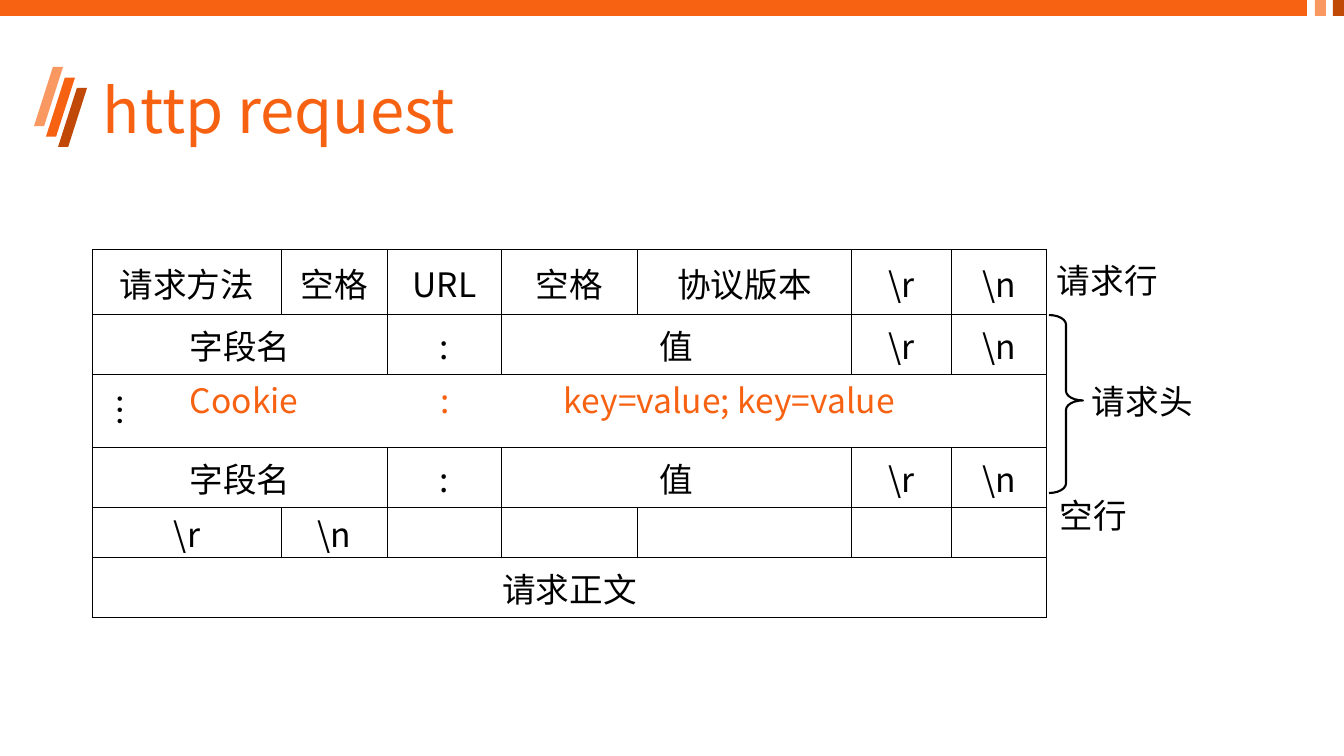
from lxml import etree
from pptx import Presentation
from pptx import util as u
from pptx.dml.color import RGBColor
from pptx.enum import shapes, text
from pptx.oxml import ns

FONT = "Noto Sans CJK SC"
ORANGE = RGBColor(0xF7, 0x62, 0x12)
LIGHT_ORANGE = RGBColor(0xFA, 0x98, 0x62)
DARK_ORANGE = RGBColor(0xC1, 0x49, 0x07)
BLACK = RGBColor(0, 0, 0)

COLUMN_WIDTHS = [189, 106, 114, 136, 214, 100, 95]
ROW_HEIGHTS = [65, 60, 73, 60, 50, 60]
REQUEST_LINE = [(1, "请求方法"), (1, "空格"), (1, "URL"), (1, "空格"),
                (1, "协议版本"), (1, "\\r"), (1, "\\n")]
HEADER_FIELD = [(2, "字段名"), (1, ":"), (2, "值"), (1, "\\r"), (1, "\\n")]
MORE_FIELDS = [(7, "")]
BLANK_LINE = [(1, "\\r"), (1, "\\n")] + [(1, "")] * 5
BODY = [(7, "请求正文")]
MESSAGE_ROWS = [REQUEST_LINE, HEADER_FIELD, MORE_FIELDS, HEADER_FIELD, BLANK_LINE, BODY]


def px(length):
    return u.Emu(round(length * 914400 / 100.8))


def write(frame, words, size=24, color=BLACK, align=None, spacing=None, tabs=()):
    paragraph = frame.paragraphs[0]
    if tabs:
        tab_list = etree.SubElement(paragraph._p.get_or_add_pPr(), ns.qn("a:tabLst"))
        for stop in tabs:
            etree.SubElement(tab_list, ns.qn("a:tab"), pos=str(px(stop)), algn="l")
    if align is not None:
        paragraph.alignment = align
    if spacing:
        paragraph.line_spacing = spacing
    run = paragraph.add_run()
    run.text = words
    run.font.name = FONT
    run.font.size = u.Pt(size)
    run.font.color.rgb = color
    etree.SubElement(run._r.get_or_add_rPr(), ns.qn("a:ea"), typeface=FONT)


def add_label(slide, box, words, wrap=False, anchor=text.MSO_ANCHOR.TOP,
              rotation=0, **style):
    label = slide.shapes.add_textbox(*map(px, box))
    label.rotation = rotation
    label.text_frame.word_wrap = wrap
    label.text_frame.vertical_anchor = anchor
    write(label.text_frame, words, **style)


def add_figure(slide, kind, box, fill=None, line=None, adjust=()):
    figure = slide.shapes.add_shape(kind, *map(px, box))
    figure.shadow.inherit = False
    for index, value in enumerate(adjust):
        figure.adjustments[index] = value
    if fill is None:
        figure.fill.background()
    else:
        figure.fill.solid()
        figure.fill.fore_color.rgb = fill
    if line is None:
        figure.line.fill.background()
    else:
        figure.line.color.rgb = line
        figure.line.width = u.Pt(1.5)


def style_cell(cell):
    properties = cell._tc.get_or_add_tcPr()
    for side in ("lnL", "lnR", "lnT", "lnB"):
        border = etree.SubElement(properties, ns.qn(f"a:{side}"), w=str(u.Pt(1)))
        paint = etree.SubElement(border, ns.qn("a:solidFill"))
        etree.SubElement(paint, ns.qn("a:srgbClr"), val=str(BLACK))
    cell.fill.background()
    cell.vertical_anchor = text.MSO_ANCHOR.MIDDLE
    cell.margin_left = cell.margin_right = cell.margin_top = px(1)
    cell.margin_bottom = 0


def add_message_table(slide):
    box = (92.5, 249.5, sum(COLUMN_WIDTHS), sum(ROW_HEIGHTS))
    table = slide.shapes.add_table(
        len(ROW_HEIGHTS), len(COLUMN_WIDTHS), *map(px, box)).table
    table.first_row = table.horz_banding = False
    for column, width in zip(table.columns, COLUMN_WIDTHS):
        column.width = px(width)
    for row, height in zip(table.rows, ROW_HEIGHTS):
        row.height = px(height)
    for cell in table.iter_cells():
        style_cell(cell)
    for row_index, fields in enumerate(MESSAGE_ROWS):
        start = 0
        for span, words in fields:
            cell = table.cell(row_index, start)
            if span > 1:
                cell.merge(table.cell(row_index, start + span - 1))
                cell.margin_left = cell.margin_right = px(11)
                cell.margin_top = cell.margin_bottom = px(6)
            if words:
                write(cell.text_frame, words, align=text.PP_ALIGN.CENTER)
            start += span


def add_decoration(slide):
    kind = shapes.MSO_SHAPE
    for index, color in enumerate((LIGHT_ORANGE, ORANGE, DARK_ORANGE)):
        stripe = (34 + 12 * index, 67 + 10.5 * index, 29, 59)
        add_figure(slide, kind.PARALLELOGRAM, stripe, fill=color, adjust=[0.65])
    for left, width, color in ((0, 1307, ORANGE), (1315, 11, LIGHT_ORANGE),
                               (1333, 11, DARK_ORANGE)):
        add_figure(slide, kind.RECTANGLE, (left, 0, width, 16), fill=color)


def main():
    deck = Presentation()
    deck.slide_width, deck.slide_height = px(1344), px(756)
    slide = deck.slides.add_slide(deck.slide_layouts[6])
    middle = text.MSO_ANCHOR.MIDDLE
    add_decoration(slide)
    add_label(slide, (93, 41, 1159, 146), "http request", wrap=True,
              anchor=middle, size=44, color=ORANGE, spacing=0.9)
    add_message_table(slide)
    add_label(slide, (85, 381, 72, 58), "…", wrap=True, anchor=middle,
              rotation=90, align=text.PP_ALIGN.CENTER)
    add_label(slide, (1047, 255, 122, 50), "请求行")
    add_label(slide, (1082, 376, 122, 50), "请求头")
    add_figure(slide, shapes.MSO_SHAPE.RIGHT_BRACE, (1049, 315, 34, 178),
               line=BLACK, adjust=[0.28, 0.48])
    add_label(slide, (1050, 490, 89, 50), "空行")
    add_label(slide, (180, 375, 727, 50), "Cookie\t:\tkey=value; key=value",
              wrap=True, color=ORANGE, tabs=(251, 374))
    deck.save("out.pptx")


if __name__ == "__main__":
    main()
